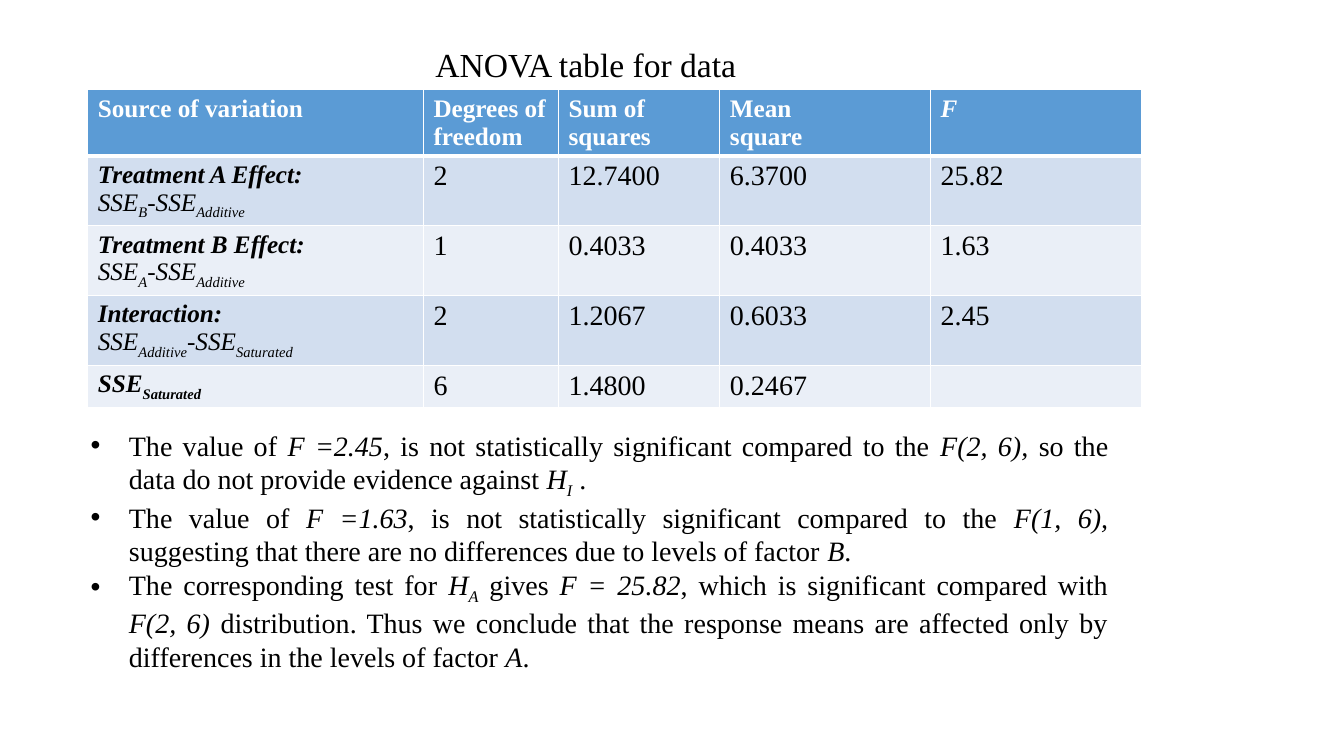
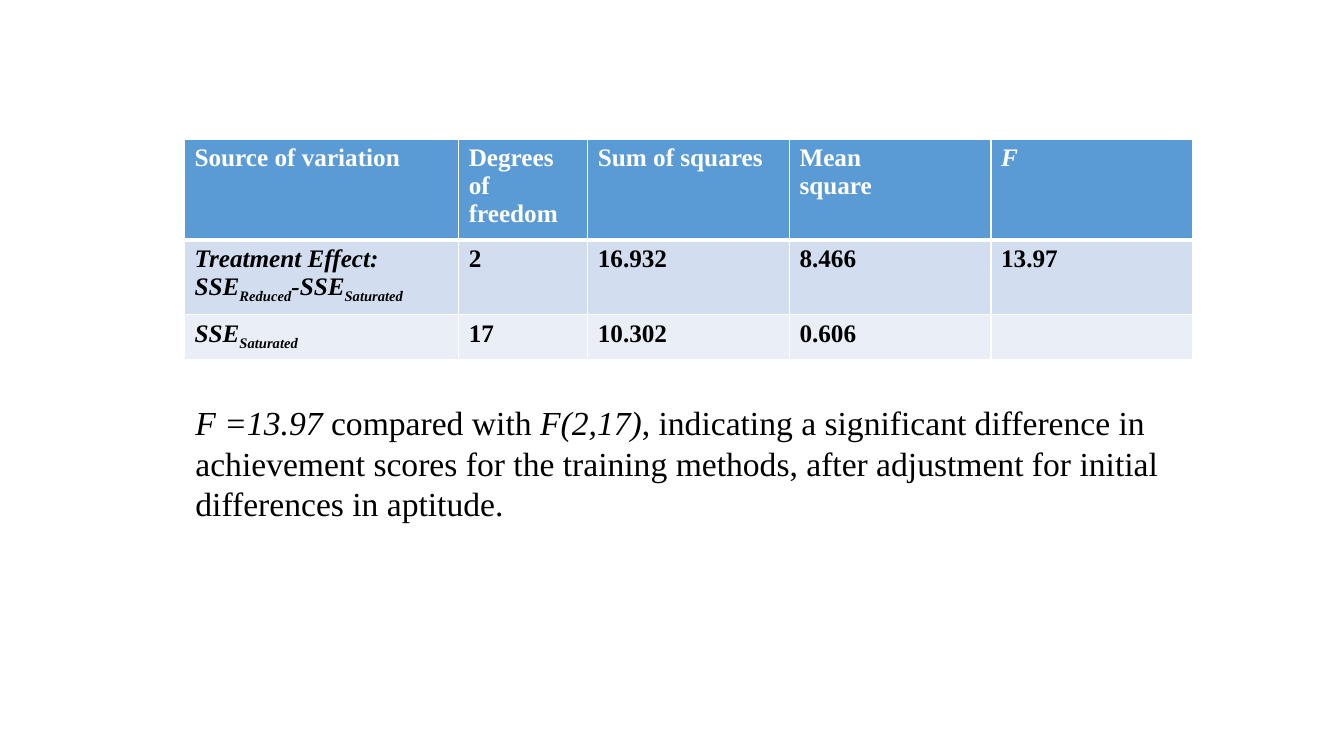
from dataclasses import dataclass

from lxml.etree import SubElement
from pptx import Presentation
from pptx.dml.color import RGBColor
from pptx.enum.text import MSO_AUTO_SIZE as AutoSize, PP_ALIGN as Align
from pptx.oxml import parse_xml
from pptx.oxml.ns import nsdecls, qn
from pptx.util import Inches, Pt


@dataclass(frozen=True)
class Theme:
    font: str = "Times New Roman"
    ink: str = "000000"
    white: str = "FFFFFF"
    header: str = "5B9BD5"
    bands: tuple = ("D2DEEF", "EAEFF7")
    title: int = 24
    body: int = 20
    label: int = 18
    thin: int = 1
    thick: int = 3


THEME = Theme()
ROW_HEIGHT = 0.41
INDENT = 0.38


def difference(first, second, style):
    return [("SSE", style), (first, style + "s"), ("-SSE", style), (second, style + "s")]


def effect(name, first, second):
    return [[(name, "bi")], difference(first, second, "i")]


HEADINGS = [
    [[("Source of variation", "b")]],
    [[("Degrees of freedom", "b")]],
    [[("Sum of squares", "b")]],
    [[("Mean", "b")], [("square", "b")]],
    [[("F", "bi")]],
]
SATURATED = [[("SSE", "bi"), ("Saturated", "bis")]]

TWO_FACTOR = {
    "at": (0.87, 0.89),
    "widths": (3.33, 1.34, 1.6, 2.09, 2.09),
    "value_size": THEME.body,
    "value_style": "",
    "rows": [
        (effect("Treatment A Effect:", "B", "Additive"), "2", "12.7400", "6.3700", "25.82"),
        (effect("Treatment B Effect:", "A", "Additive"), "1", "0.4033", "0.4033", "1.63"),
        (effect("Interaction:", "Additive", "Saturated"), "2", "1.2067", "0.6033", "2.45"),
        (SATURATED, "6", "1.4800", "0.2467", ""),
    ],
}
COVARIANCE = {
    "at": (1.83, 1.38),
    "widths": (2.72, 1.28, 2, 2, 2),
    "value_size": THEME.label,
    "value_style": "b",
    "rows": [
        ([[("Treatment Effect: ", "bi")] + difference("Reduced", "Saturated", "bi")],
         "2", "16.932", "8.466", "13.97"),
        (SATURATED, "17", "10.302", "0.606", ""),
    ],
}

TITLE = [[("ANOVA table for data", "")]]
FINDINGS = [
    [("The value of ", ""), ("F =2.45", "i"),
     (", is not statistically significant compared to the ", ""), ("F(2, 6), ", "i"),
     ("so the data do not provide evidence against", ""), (" H", "i"), ("I", "is"), (" .", "")],
    [("The value of ", ""), ("F =1.63", "i"),
     (", is not statistically significant compared to the ", ""), ("F(1, 6), ", "i"),
     ("suggesting that there are no differences due to levels of factor ", ""),
     ("B", "i"), (".", "")],
    [("The corresponding test for ", ""), ("H", "i"), ("A", "is"), (" gives ", ""),
     ("F = 25.82", "i"), (", which is significant compared with ", ""), ("F(2, 6) ", "i"),
     ("distribution. Thus we conclude that the response means are affected only by "
      "differences in the levels of factor ", ""), ("A", "i"), (".", "")],
]
CONCLUSION = [
    [("F =13.97 ", "i"), ("compared with ", ""), ("F(2,17)", "i"),
     (", indicating a significant difference in achievement scores for the training methods, "
      "after adjustment for initial differences in aptitude.", "")],
]

PAGES = [
    {"table": TWO_FACTOR, "texts": [
        {"at": (0.8, 4.2, 10.29, 2.68), "paras": FINDINGS, "size": THEME.body, "bullets": True},
        {"at": (4.22, 0.39, 3.21, 0.5), "paras": TITLE, "size": THEME.title, "wrap": False},
    ]},
    {"table": COVARIANCE, "texts": [
        {"at": (1.84, 3.94, 10.54, 1.31), "paras": CONCLUSION, "size": THEME.title},
    ]},
]


def write(frame, paras, size, color=THEME.ink):
    for index, spans in enumerate(paras):
        para = frame.paragraphs[0] if index == 0 else frame.add_paragraph()
        for text, style in spans:
            span = para.add_run()
            span.text = text
            font = span.font
            font.name, font.size = THEME.font, Pt(size)
            font.bold, font.italic = "b" in style, "i" in style
            font.color.rgb = RGBColor.from_string(color)
            if "s" in style:
                font._element.set("baseline", "-25000")


def add_bullet(para):
    para.alignment = Align.JUSTIFY
    props = para._p.get_or_add_pPr()
    props.set("marL", str(Inches(INDENT)))
    props.set("indent", str(-Inches(INDENT)))
    SubElement(props, qn("a:buFont")).set("typeface", "Arial")
    SubElement(props, qn("a:buChar")).set("char", "•")


def add_text(page, at, paras, size, wrap=True, bullets=False):
    frame = page.shapes.add_textbox(*map(Inches, at)).text_frame
    frame.word_wrap = wrap
    frame.auto_size = AutoSize.SHAPE_TO_FIT_TEXT
    write(frame, paras, size)
    if bullets:
        for para in frame.paragraphs:
            add_bullet(para)


def set_borders(cell, top, bottom):
    props = cell._tc.get_or_add_tcPr()
    widths = {"L": THEME.thin, "R": THEME.thin, "T": top, "B": bottom}
    for place, (side, width) in enumerate(widths.items()):
        props.insert(place, parse_xml(
            f'<a:ln{side} {nsdecls("a")} w="{Pt(width)}"><a:solidFill>'
            f'<a:srgbClr val="{THEME.white}"/></a:solidFill></a:ln{side}>'))


def fill_cell(cell, paras, size, color, fill, top, bottom):
    cell.fill.solid()
    cell.fill.fore_color.rgb = RGBColor.from_string(fill)
    set_borders(cell, top, bottom)
    write(cell.text_frame, paras, size, color)


def add_anova(page, at, widths, value_size, value_style, rows):
    count = len(rows) + 1
    table = page.shapes.add_table(
        count, len(widths), *map(Inches, (*at, sum(widths), ROW_HEIGHT * count))).table
    table.horz_banding = False
    for column, width in zip(table.columns, widths):
        column.width = Inches(width)
    for row in table.rows:
        row.height = Inches(ROW_HEIGHT)
    for column, paras in enumerate(HEADINGS):
        fill_cell(table.cell(0, column), paras, THEME.label, THEME.white, THEME.header,
                  THEME.thin, THEME.thick)
    for index, (label, *values) in enumerate(rows):
        fill = THEME.bands[index % 2]
        top = THEME.thin if index else THEME.thick
        fill_cell(table.cell(index + 1, 0), label, THEME.label, THEME.ink, fill, top, THEME.thin)
        for column, value in enumerate(values, 1):
            paras = [[(value, value_style)]] if value else []
            fill_cell(table.cell(index + 1, column), paras, value_size, THEME.ink, fill,
                      top, THEME.thin)


def main():
    deck = Presentation()
    deck.slide_width, deck.slide_height = Inches(13.33), Inches(7.5)
    for content in PAGES:
        page = deck.slides.add_slide(deck.slide_layouts[6])
        add_anova(page, **content["table"])
        for text in content["texts"]:
            add_text(page, **text)
    deck.save("out.pptx")


if __name__ == "__main__":
    main()
